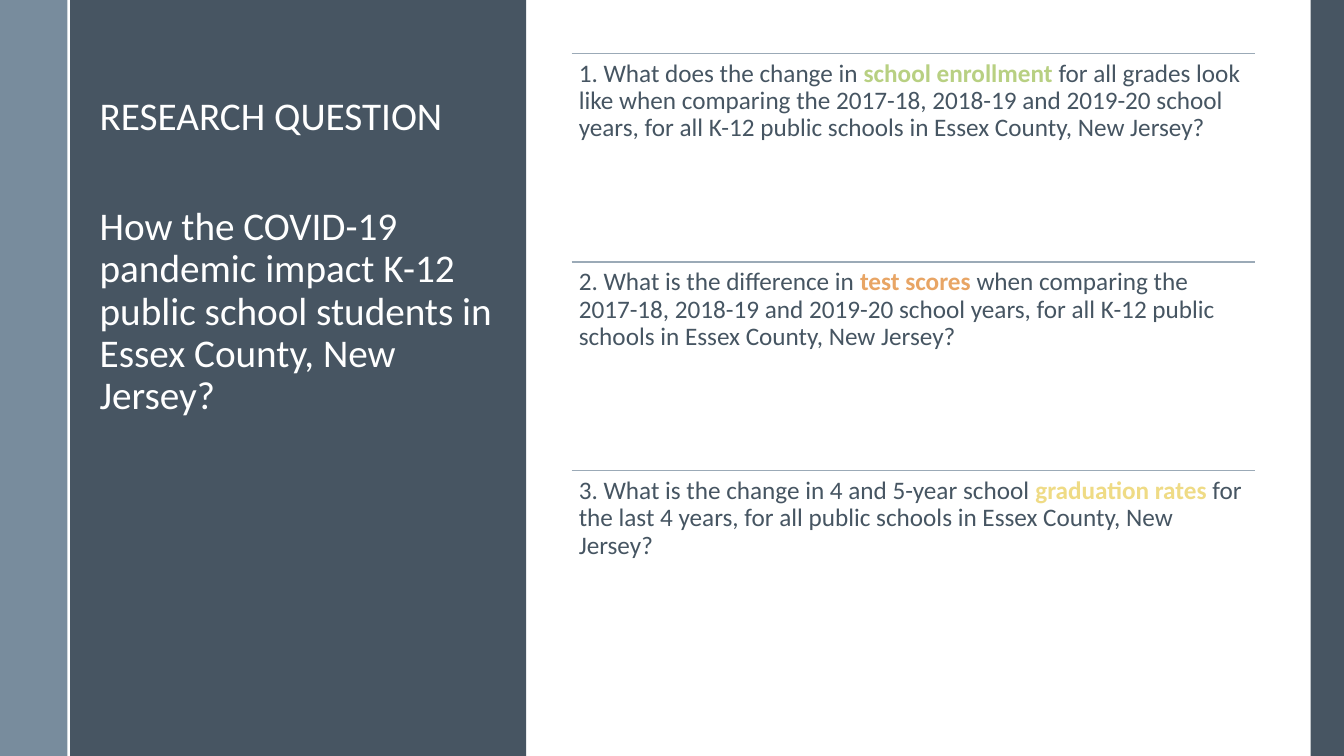
from lxml import etree
from pptx import Presentation
from pptx.dml.color import RGBColor
from pptx.enum.shapes import MSO_CONNECTOR, MSO_SHAPE
from pptx.enum.text import MSO_ANCHOR
from pptx.oxml.ns import qn
from pptx.util import Inches, Pt

TITLE = "RESEARCH QUESTION"
MAIN_QUESTION = ("How the COVID-19 pandemic impact K-12 public school students "
                 "in Essex County, New Jersey?")
QUESTIONS = [
    ("1. What does the change in ", "school enrollment ",
     "for all grades look like when comparing the 2017-18, 2018-19 and 2019-20 "
     "school years, for all K-12 public schools in Essex County, New Jersey?", "green"),
    ("2. What is the difference in ", "test scores ",
     "when comparing the 2017-18, 2018-19 and 2019-20 school years, "
     "for all K-12 public schools in Essex County, New Jersey?\u00a0", "orange"),
    ("3. What is the change in 4 and 5-year school ", "graduation rates ",
     "for the last 4 years, for all public schools in Essex County, New Jersey?", "yellow"),
]
COLORS = {"slate": "475562", "steel": "6A8093", "white": "FFFFFF", "rule": "9BAAB7",
          "text": "465562", "green": "B8D082", "orange": "E8A565", "yellow": "EFDB85"}
FONT = "Calibri"
RECTANGLE = MSO_SHAPE.RECTANGLE
STRAIGHT = MSO_CONNECTOR.STRAIGHT
TOP, MIDDLE = MSO_ANCHOR.TOP, MSO_ANCHOR.MIDDLE
WIDTH, HEIGHT = 13.33, 7.5
PANEL_LEFT, PANEL_WIDTH = 0.68, 4.54
EDGE_WIDTH = 0.33
TEXT_LEFT = 0.89
LIST_LEFT, LIST_TOP, LIST_WIDTH, ROW_HEIGHT = 5.67, 0.53, 6.78, 2.07

deck = Presentation()
deck.slide_width, deck.slide_height = Inches(WIDTH), Inches(HEIGHT)
page = deck.slides.add_slide(deck.slide_layouts[6])


def color(name):
    return RGBColor.from_string(COLORS[name])


def add_band(left, width, fill, opacity=100):
    band = page.shapes.add_shape(RECTANGLE, Inches(left), 0, Inches(width), Inches(HEIGHT))
    band.shadow.inherit = False
    band.fill.solid()
    band.fill.fore_color.rgb = color(fill)
    band.line.fill.background()
    if opacity < 100:
        tint = band.fill._xPr.find(".//" + qn("a:srgbClr"))
        etree.SubElement(tint, qn("a:alpha")).set("val", str(opacity * 1000))


def add_rule(start, end, line_color, weight):
    rule = page.shapes.add_connector(STRAIGHT, *map(Inches, start + end))
    rule.line.color.rgb = color(line_color)
    rule.line.width = Pt(weight)
    etree.SubElement(rule._element.spPr, qn("a:effectLst"))


def add_text(spans, *, left, top, width, height, size, anchor=TOP, inset=None, after=0):
    box = page.shapes.add_textbox(*map(Inches, (left, top, width, height)))
    frame = box.text_frame
    frame.word_wrap = True
    frame.vertical_anchor = anchor
    if inset is not None:
        frame.margin_left = frame.margin_right = Inches(inset)
        frame.margin_top = frame.margin_bottom = Inches(inset)
    para = frame.paragraphs[0]
    para.line_spacing = 0.9
    para.space_after = Pt(after)
    for words, fill, bold in spans:
        span = para.add_run()
        span.text = words
        span.font.name = FONT
        span.font.size = Pt(size)
        span.font.bold = bold
        span.font.color.rgb = color(fill)


add_band(PANEL_LEFT, PANEL_WIDTH, "slate")
add_band(0, PANEL_LEFT - 0.01, "steel", opacity=90)
add_rule((PANEL_LEFT, 0), (PANEL_LEFT, HEIGHT), "white", 1.5)
add_band(WIDTH - EDGE_WIDTH, EDGE_WIDTH, "slate")

add_text([(TITLE, "white", False)], left=TEXT_LEFT, top=0.42, width=4.28, height=1.5,
         size=28, anchor=MIDDLE)
add_text([(MAIN_QUESTION, "white", False)], left=TEXT_LEFT, top=2, width=4.11, height=4.75,
         size=28)

for row, (opening, topic, ending, accent) in enumerate(QUESTIONS):
    top = LIST_TOP + row * ROW_HEIGHT
    add_rule((LIST_LEFT, top), (LIST_LEFT + LIST_WIDTH, top), "rule", 1)
    add_text([(opening, "text", False), (topic, accent, True), (ending, "text", False)],
             left=LIST_LEFT, top=top, width=LIST_WIDTH, height=ROW_HEIGHT,
             size=18, inset=0.07, after=6)

deck.save("out.pptx")
